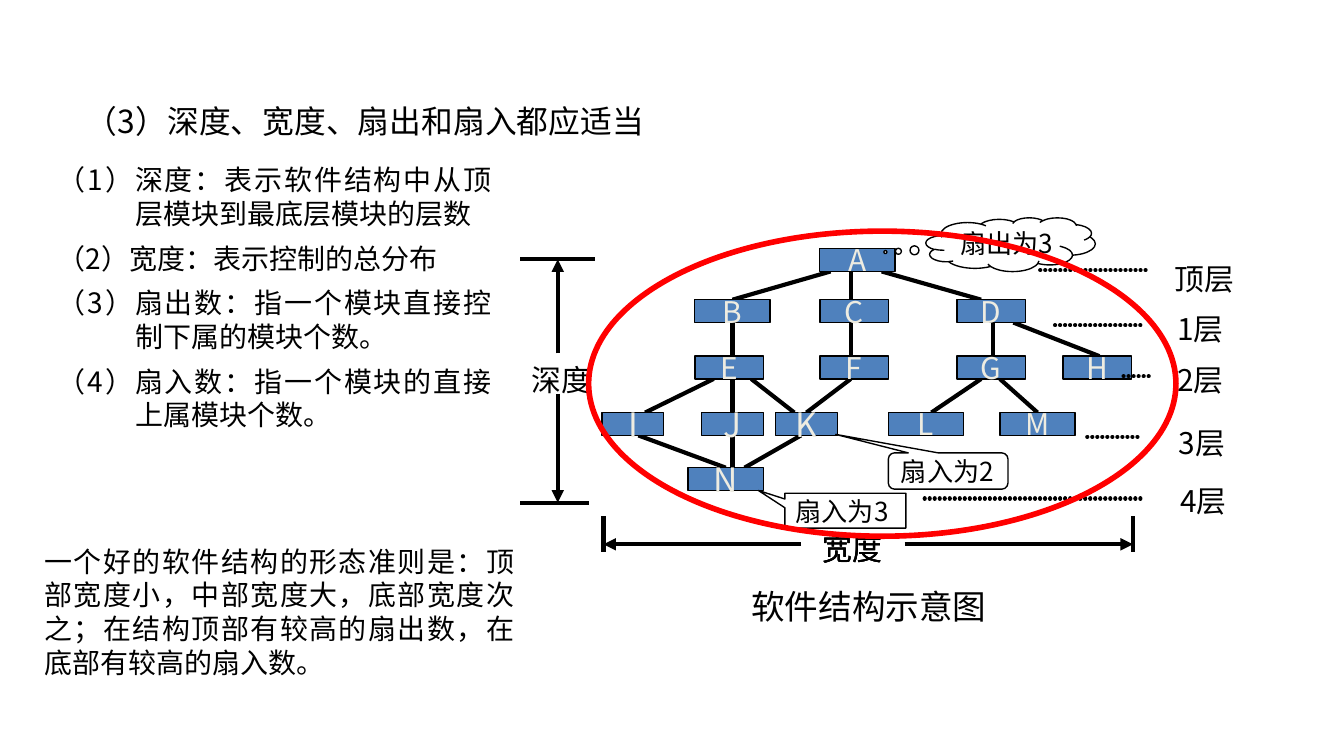
from dataclasses import dataclass

import pptx
import pptx.dml.color
import pptx.enum.shapes
import pptx.enum.text
import pptx.oxml
import pptx.oxml.ns
import pptx.util

Inches, Pt = pptx.util.Inches, pptx.util.Pt
SHAPE = pptx.enum.shapes.MSO_SHAPE
ALIGN = pptx.enum.text.PP_ALIGN
ANCHOR = pptx.enum.text.MSO_ANCHOR
NS = pptx.oxml.ns.nsdecls("a")
FONT = "Noto Sans CJK SC"
COLORS = {"ink": "000000", "paper": "FFFFFF", "node": "4F81BD",
          "letter": "EEECE1", "ring": "FF0000"}
ROW_TOPS = [1.85, 2.23, 2.65, 3.07, 3.48]
NODE_H = 0.17


@dataclass
class Node:
    name: str
    row: int
    left: float
    width: float
    size: int = 16


@dataclass
class Edge:
    row: int
    x1: float
    x2: float


@dataclass
class Level:
    label: str
    left: float
    top: float
    width: float
    x1: float
    x2: float
    y: float


@dataclass
class Callout:
    text: str
    kind: int
    box: tuple
    adjust: tuple


NODES = [
    Node("A", 0, 6.1, 0.56),
    Node("B", 1, 5.17, 0.56), Node("C", 1, 6.1, 0.51), Node("D", 1, 7.12, 0.51),
    Node("E", 2, 5.17, 0.51), Node("F", 2, 6.1, 0.51),
    Node("G", 2, 7.12, 0.51), Node("H", 2, 7.91, 0.51),
    Node("I", 3, 4.48, 0.46, 18), Node("J", 3, 5.22, 0.46, 18),
    Node("K", 3, 5.77, 0.46, 18),
    Node("L", 3, 6.61, 0.56), Node("M", 3, 7.44, 0.56),
    Node("N", 4, 5.12, 0.56, 18),
]
EDGES = [
    Edge(0, 6.18, 5.45), Edge(0, 6.33, 6.33), Edge(0, 6.56, 7.3),
    Edge(1, 5.45, 5.45), Edge(1, 6.33, 6.33), Edge(1, 7.39, 7.39),
    Edge(1, 7.54, 8.18),
    Edge(2, 5.31, 4.8), Edge(2, 5.45, 5.45), Edge(2, 5.59, 5.91),
    Edge(2, 6.33, 6), Edge(2, 7.3, 6.93), Edge(2, 7.44, 7.72),
    Edge(3, 4.75, 5.4), Edge(3, 5.45, 5.45), Edge(3, 5.96, 5.54),
]
LEVELS = [
    Level("顶层", 8.66, 1.9, 0.78, 7.74, 8.53, 2.01),
    Level("1层", 8.68, 2.27, 0.61, 7.85, 8.5, 2.42),
    Level("2层", 8.68, 2.65, 0.56, 8.36, 8.55, 2.8),
    Level("3层", 8.69, 3.12, 0.6, 8.09, 8.5, 3.25),
    Level("4层", 8.7, 3.55, 0.75, 6.88, 8.5, 3.71),
]
CALLOUTS = [
    Callout("扇入为2", SHAPE.ROUNDED_RECTANGULAR_CALLOUT,
            (6.61, 3.37, 0.89, 0.27), (-0.94, -1.01, 0.17)),
    Callout("扇出为3", SHAPE.CLOUD_CALLOUT, (6.89, 1.62, 1.26, 0.4), (-0.74, 0.14)),
    Callout("扇入为3", SHAPE.RECTANGULAR_CALLOUT,
            (5.84, 3.67, 0.9, 0.26), (-0.72, -0.58)),
]
DEFINITIONS = [
    "（1）深度：表示软件结构中从顶层模块到最底层模块的层数",
    "（2）宽度：表示控制的总分布",
    "（3）扇出数：指一个模块直接控制下属的模块个数。",
    "（4）扇入数：指一个模块的直接上属模块个数。",
]
CRITERION = ("一个好的软件结构的形态准则是：顶部宽度小，中部宽度大，底部宽度次之；"
             "在结构顶部有较高的扇出数，在底部有较高的扇入数。")


def rgb(name: str) -> pptx.dml.color.RGBColor:
    return pptx.dml.color.RGBColor.from_string(COLORS[name])


def inches(box: tuple) -> list:
    return [Inches(v) for v in box]


def write(tf, *texts: str, size: int = 16, color: str = "ink", align=ALIGN.JUSTIFY,
          anchor=ANCHOR.TOP, wrap: bool = True, margins: tuple = (0.08, 0.04),
          hang: float = 0, gap: float = 0, spacing: float = 1.2) -> None:
    """Fill a text frame, one paragraph per text; spacing is in multiples of size."""
    tf.auto_size = pptx.enum.text.MSO_AUTO_SIZE.NONE
    tf.word_wrap = wrap
    tf.vertical_anchor = anchor
    tf.margin_left = tf.margin_right = Inches(margins[0])
    tf.margin_top = tf.margin_bottom = Inches(margins[1])
    for i, text in enumerate(texts):
        p = tf.paragraphs[0] if i == 0 else tf.add_paragraph()
        pPr = p._p.get_or_add_pPr()
        pPr.set("marL", str(Inches(hang)))
        pPr.set("indent", str(-Inches(hang)))
        pPr.append(pptx.oxml.parse_xml(f"<a:buNone {NS}/>"))
        p.alignment = align
        p.line_spacing = Pt(size * spacing)
        p.space_before = Pt(gap if i else 0)
        r = p.add_run()
        r.text = text
        r.font.size = Pt(size)
        r.font.name = FONT
        r.font.color.rgb = rgb(color)
        r._r.rPr.append(pptx.oxml.parse_xml(f'<a:ea {NS} typeface="{FONT}"/>'))


def add_label(s, text: str, box: tuple, **fmt) -> None:
    write(s.shapes.add_textbox(*inches(box)).text_frame, text, **fmt)


def add_box(s, kind: int, box: tuple, fill: str | None, line: str = "ink",
            width: float = 0.75):
    sp = s.shapes.add_shape(kind, *inches(box))
    sp.shadow.inherit = False
    if fill:
        sp.fill.solid()
        sp.fill.fore_color.rgb = rgb(fill)
    else:
        sp.fill.background()
    sp.line.color.rgb = rgb(line)
    sp.line.width = Pt(width)
    return sp


def add_line(s, x1: float, y1: float, x2: float, y2: float,
             arrow: bool = False, dotted: bool = False) -> None:
    c = s.shapes.add_connector(pptx.enum.shapes.MSO_CONNECTOR.STRAIGHT,
                               *inches((x1, y1, x2, y2)))
    c.line.color.rgb = rgb("ink")
    c.line.width = Pt(2.25)
    ln = c.line._get_or_add_ln()
    if dotted:
        ln.set("cap", "rnd")
        ln.append(pptx.oxml.parse_xml(
            f'<a:custDash {NS}><a:ds d="100000" sp="20000"/></a:custDash>'))
    if arrow:
        ln.append(pptx.oxml.parse_xml(f'<a:tailEnd {NS} type="triangle"/>'))
    c._element.spPr.append(pptx.oxml.parse_xml(f"<a:effectLst {NS}/>"))


def place(sp, box: tuple) -> None:
    sp.left, sp.top, sp.width, sp.height = inches(box)


def draw_tree(s) -> None:
    for e in EDGES:
        add_line(s, e.x1, ROW_TOPS[e.row] + NODE_H, e.x2, ROW_TOPS[e.row + 1])
    for n in NODES:
        sp = add_box(s, SHAPE.RECTANGLE, (n.left, ROW_TOPS[n.row], n.width, NODE_H),
                     "node")
        write(sp.text_frame, n.name, size=n.size, color="letter", align=ALIGN.CENTER,
              anchor=ANCHOR.MIDDLE, wrap=False, margins=(0.1, 0.05))


def draw_dimensions(s) -> None:
    """Depth arrows at the left and width arrows below the tree."""
    for y, right, start in [(1.93, 4.43, 2.63), (3.74, 4.38, 2.93)]:
        add_line(s, 3.87, y, right, y)
        add_line(s, 4.15, start, 4.15, y, arrow=True)
    add_label(s, "深度", (3.86, 2.64, 0.71, 0.37), margins=(0.1, 0.05))
    for x, start in [(4.49, 5.96), (8.43, 6.73)]:
        add_line(s, x, 3.84, x, 4.11)
        add_line(s, start, 4.05, x, 4.05, arrow=True)
    for width in (0.78, 0.67, 0.7):
        add_label(s, "宽度", (6.02, 3.9, width, 0.37), margins=(0.1, 0.05))


def main() -> None:
    prs = pptx.Presentation()
    prs.slide_width = Inches(10)
    prs.slide_height = prs.slide_width * 9 // 16
    s = prs.slides.add_slide(prs.slide_layouts[1])
    title, body = s.shapes.title, s.placeholders[1]
    place(title, (0.56, 0.59, 8.51, 0.52))
    write(title.text_frame, "（3）深度、宽度、扇出和扇入都应适当", size=17,
          align=ALIGN.LEFT, hang=0.15, spacing=1.75)
    place(body, (0.35, 1.17, 3.39, 2.08))
    write(body.text_frame, *DEFINITIONS, size=15, hang=0.58, gap=6)

    draw_tree(s)
    draw_dimensions(s)
    for c in CALLOUTS:
        sp = add_box(s, c.kind, c.box, "paper")
        for i, value in enumerate(c.adjust):
            sp.adjustments[i] = value
        write(sp.text_frame, c.text, size=14, anchor=ANCHOR.MIDDLE, wrap=False)
    for v in LEVELS:
        add_line(s, v.x1, v.y, v.x2, v.y, dotted=True)
        add_label(s, v.label, (v.left, v.top, v.width, 0.34), align=ALIGN.LEFT)
    add_label(s, "软件结构示意图", (5.51, 4.32, 2.65, 0.38), size=18)
    add_label(s, CRITERION, (0.25, 4.01, 3.66, 1.08), size=15)
    add_box(s, SHAPE.OVAL, (4.38, 1.72, 4.37, 2.27), None, "ring", 3)
    prs.save("out.pptx")


if __name__ == "__main__":
    main()
